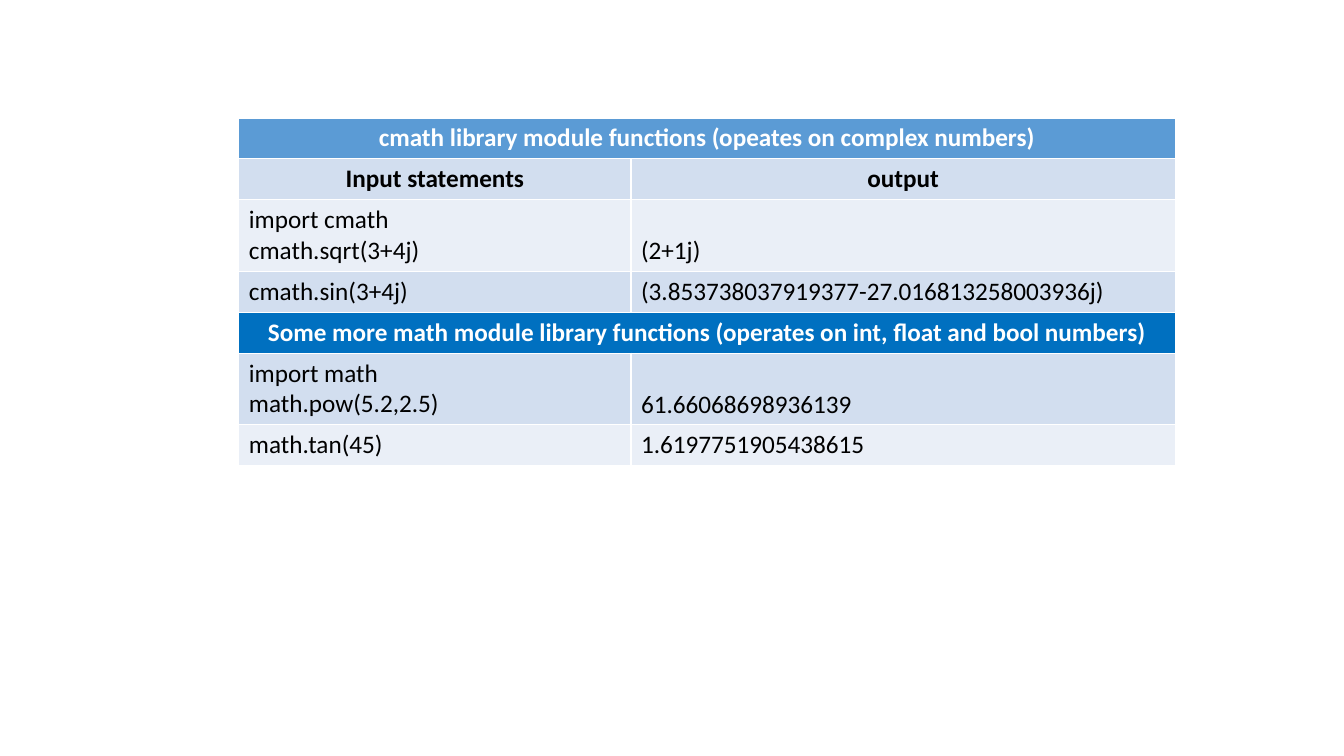
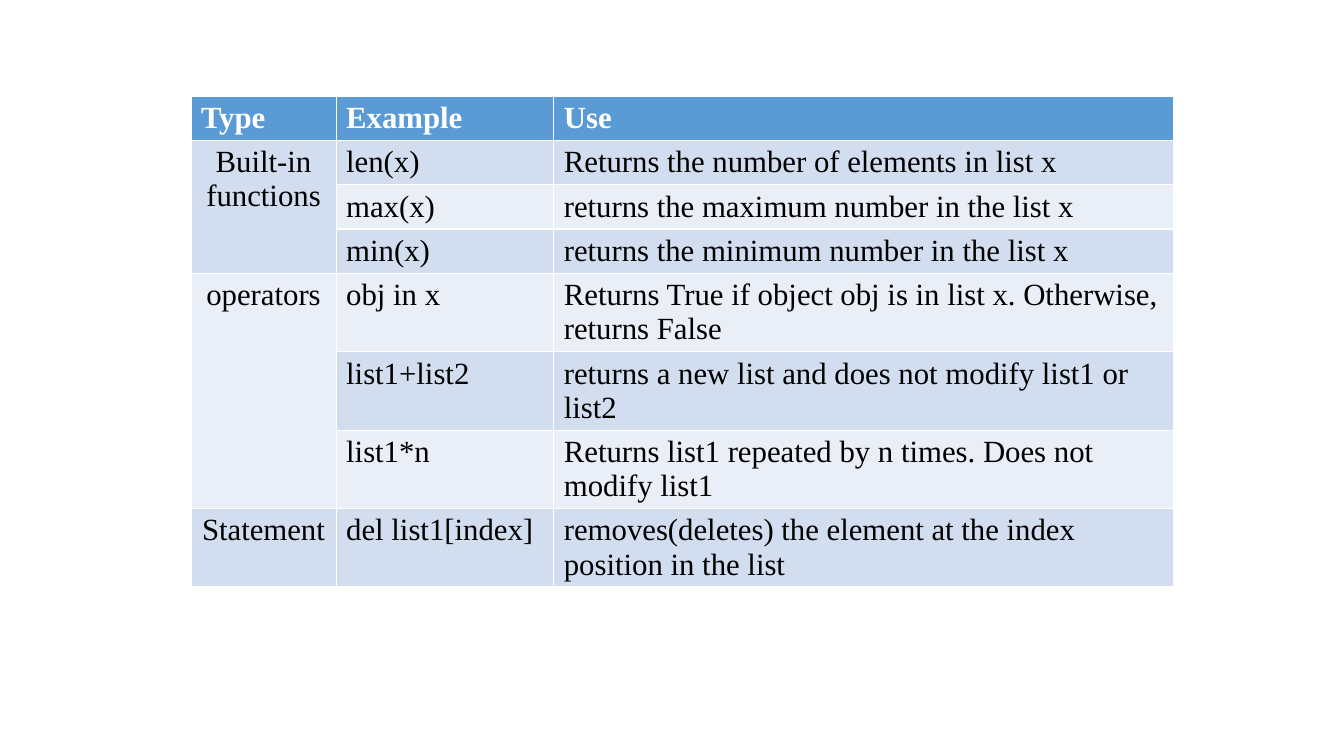
from dataclasses import dataclass

from pptx import Presentation
from pptx.dml.color import RGBColor
from pptx.enum.text import MSO_ANCHOR, PP_ALIGN
from pptx.presentation import Presentation as Deck
from pptx.util import Pt

LEFT, CENTER = PP_ALIGN.LEFT, PP_ALIGN.CENTER
TOP, BOTTOM = MSO_ANCHOR.TOP, MSO_ANCHOR.BOTTOM
BLANK_LAYOUT = 6


@dataclass(frozen=True)
class Theme:
    """Colours, fonts and type sizes of the deck."""
    header: RGBColor = RGBColor(0x5B, 0x9B, 0xD5)
    section: RGBColor = RGBColor(0x00, 0x70, 0xC0)
    bands: tuple[RGBColor, RGBColor] = (RGBColor(0xEA, 0xEF, 0xF7),
                                        RGBColor(0xD2, 0xDE, 0xEF))
    light: RGBColor = RGBColor(0xFF, 0xFF, 0xFF)
    dark: RGBColor = RGBColor(0x00, 0x00, 0x00)
    sans: str = "Calibri"
    serif: str = "Times New Roman"
    sans_size: float = 18
    serif_size: float = 22


THEME = Theme()


@dataclass(frozen=True)
class Cell:
    """One table cell; a newline starts a new paragraph."""
    text: str
    align: PP_ALIGN = LEFT
    anchor: MSO_ANCHOR = TOP
    bold: bool = False
    color: RGBColor = THEME.dark
    fill: RGBColor | None = None
    rows: int = 1
    cols: int = 1


@dataclass(frozen=True)
class Row:
    """A row height in points and its cells; None is covered by a merge."""
    height: float
    cells: tuple[Cell | None, ...]


@dataclass(frozen=True)
class TableSpec:
    """A table's place, column widths, type and rows, in points."""
    left: float
    top: float
    widths: tuple[float, ...]
    font: str
    size: float
    rows: tuple[Row, ...]


def heading(text: str, fill: RGBColor = THEME.header,
            align: PP_ALIGN = LEFT, cols: int = 1) -> Cell:
    """Return a bold white cell on a solid colour."""
    return Cell(text, align, bold=True, color=THEME.light, fill=fill, cols=cols)


def banner(text: str, fill: RGBColor) -> tuple[Cell | None, ...]:
    """Return the cells of a heading that spans both columns."""
    return heading(text, fill, CENTER, cols=2), None


def group(text: str, rows: int = 1) -> Cell:
    """Return a centred cell that labels a group of rows."""
    return Cell(text, CENTER, rows=rows)


def add_table(prs: Deck, spec: TableSpec) -> None:
    """Add a slide that holds the given table."""
    s = prs.slides.add_slide(prs.slide_layouts[BLANK_LAYOUT])
    height = sum(row.height for row in spec.rows)
    table = s.shapes.add_table(len(spec.rows), len(spec.widths),
                               Pt(spec.left), Pt(spec.top),
                               Pt(sum(spec.widths)), Pt(height)).table
    for column, width in zip(table.columns, spec.widths):
        column.width = Pt(width)
    for i, row in enumerate(spec.rows):
        table.rows[i].height = Pt(row.height)
        for j, content in enumerate(row.cells):
            if content is None:
                continue
            cell = table.cell(i, j)
            if content.rows * content.cols > 1:
                cell.merge(table.cell(i + content.rows - 1,
                                      j + content.cols - 1))
            cell.fill.solid()
            cell.fill.fore_color.rgb = content.fill or THEME.bands[i % 2]
            cell.vertical_anchor = content.anchor
            cell.text = content.text
            for p in cell.text_frame.paragraphs:
                p.alignment = content.align
                p.font.name = spec.font
                p.font.size = Pt(spec.size)
                p.font.bold = content.bold
                p.font.color.rgb = content.color


SANS_LINE, SANS_DOUBLE = 29.2, 51.2
SERIF_LINE, SERIF_DOUBLE = 31.7, 56

MATH_FUNCTIONS = TableSpec(
    170.64, 84.24, (280.08, 388.8), THEME.sans, THEME.sans_size, (
        Row(SANS_LINE, banner(
            "cmath library module functions (opeates on complex numbers)",
            THEME.header)),
        Row(SANS_LINE, (Cell("Input statements", CENTER, bold=True),
                        Cell("output", CENTER, bold=True))),
        Row(SANS_DOUBLE, (Cell("import cmath\ncmath.sqrt(3+4j)"),
                          Cell("(2+1j)", anchor=BOTTOM))),
        Row(SANS_LINE, (Cell("cmath.sin(3+4j)"),
                        Cell("(3.853738037919377-27.016813258003936j)"))),
        Row(SANS_LINE, banner(
            "Some more math module library functions "
            "(operates on int, float and bool numbers)", THEME.section)),
        Row(SANS_DOUBLE, (Cell("import math\nmath.pow(5.2,2.5)"),
                          Cell("61.66068698936139", anchor=BOTTOM))),
        Row(SANS_LINE, (Cell("math.tan(45)"), Cell("1.6197751905438615"))),
    ))

LIST_OPERATIONS = TableSpec(
    136.4, 68.5, (103.7, 155.5, 442.8), THEME.serif, THEME.serif_size, (
        Row(SERIF_LINE, (heading("Type"), heading("Example"), heading("Use"))),
        Row(SERIF_LINE, (group("Built-in functions", 3), Cell("len(x)"),
                         Cell("Returns the number of elements in list x"))),
        Row(SERIF_LINE, (None, Cell("max(x)"),
                         Cell("returns the maximum number in the list x"))),
        Row(SERIF_LINE, (None, Cell("min(x)"),
                         Cell("returns the minimum number in the list x"))),
        Row(SERIF_DOUBLE, (group("operators", 3), Cell("obj in x"),
                           Cell("Returns True if object obj is in list x. "
                                "Otherwise, returns False"))),
        Row(SERIF_DOUBLE, (None, Cell("list1+list2"),
                           Cell("returns a new list and does not modify "
                                "list1 or list2"))),
        Row(SERIF_DOUBLE, (None, Cell("list1*n"),
                           Cell("Returns list1 repeated by n times. "
                                "Does not modify list1"))),
        Row(SERIF_DOUBLE, (group("Statement"), Cell("del list1[index]"),
                           Cell("removes(deletes) the element at the index "
                                "position in the list"))),
    ))


def main() -> None:
    """Build both slides and save the deck."""
    prs = Presentation()
    prs.slide_width, prs.slide_height = Pt(960), Pt(540)
    for spec in (MATH_FUNCTIONS, LIST_OPERATIONS):
        add_table(prs, spec)
    prs.save("out.pptx")


main()
